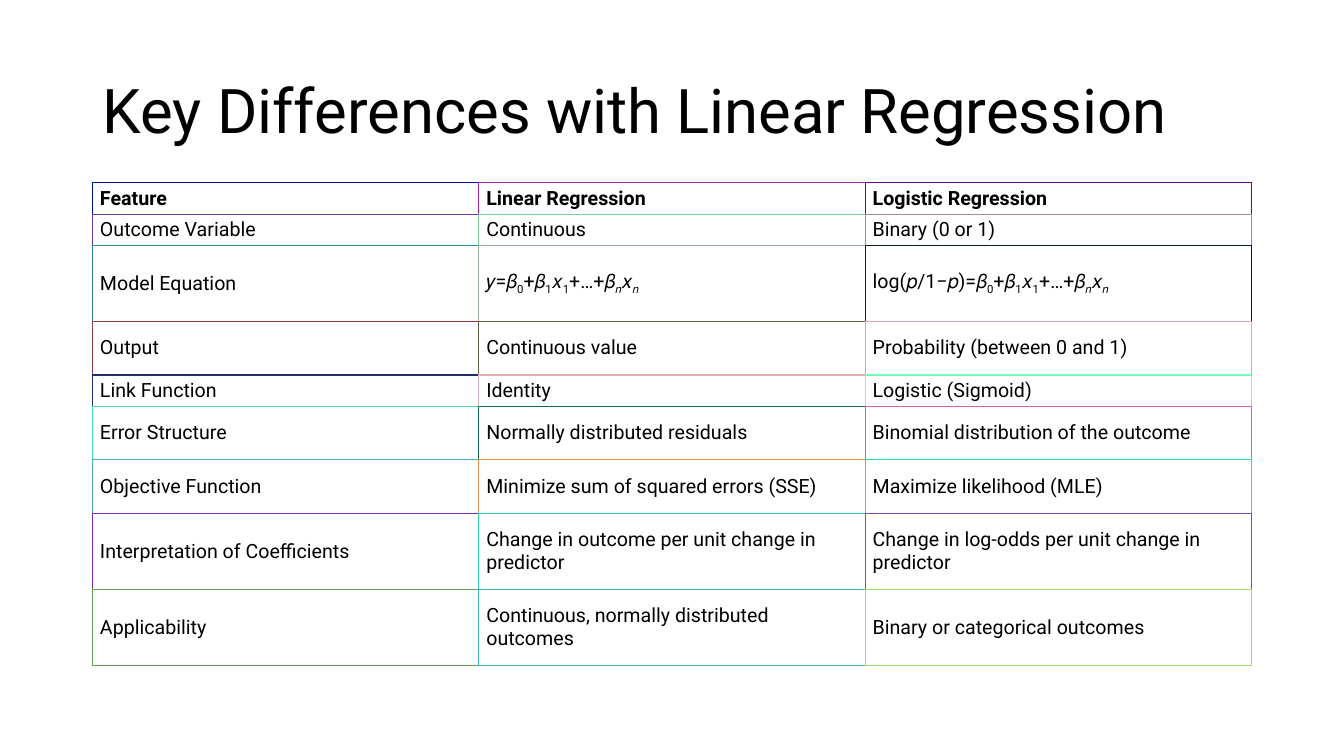
from dataclasses import dataclass

from lxml import etree
from pptx import Presentation
from pptx.dml.color import RGBColor
from pptx.enum.text import MSO_ANCHOR, MSO_AUTO_SIZE, PP_ALIGN
from pptx.oxml.ns import qn
from pptx.util import Cm, Pt

LEFT = PP_ALIGN.LEFT
MIDDLE = MSO_ANCHOR.MIDDLE
BOTTOM = MSO_ANCHOR.BOTTOM
NO_FIT = MSO_AUTO_SIZE.NONE

BLACK = RGBColor(0x00, 0x00, 0x00)
WHITE = RGBColor(0xFF, 0xFF, 0xFF)
FONT = "Roboto"
EDGE = 2.33
WIDTH = 29.21
SHORT, MEDIUM, TALL = 0.77, 1.35, 1.92


@dataclass
class Row:
    height: float
    texts: tuple[str, str, str]
    lines: tuple[str, str, str]  # border colour of each cell


# An underscore sets the next character as a subscript
ROWS = [
    Row(SHORT, ("Feature", "Linear Regression", "Logistic Regression"),
        ("00159F", "A0239F", "60069F")),
    Row(SHORT, ("Outcome Variable", "Continuous", "Binary (0 or 1)"),
        ("603C9F", "80CA9F", "A08B9D")),
    Row(TALL, ("Model Equation", "𝑦=𝛽_0+𝛽_1𝑥_1+…+𝛽_𝑛𝑥_𝑛",
               "log(𝑝/1−𝑝)=𝛽_0+𝛽_1𝑥_1+…+𝛽_𝑛𝑥_𝑛"),
        ("308C9C", "90B69C", "001B45")),
    Row(MEDIUM, ("Output", "Continuous value", "Probability (between 0 and 1)"),
        ("903944", "605B44", "E09FBA")),
    Row(SHORT, ("Link Function", "Identity", "Logistic (Sigmoid)"),
        ("202B6C", "E0B1B8", "70FEB8")),
    Row(MEDIUM, ("Error Structure", "Normally distributed residuals",
                 "Binomial distribution of the outcome"),
        ("40E0BC", "106946", "D05DBE")),
    Row(MEDIUM, ("Objective Function", "Minimize sum of squared errors (SSE)",
                 "Maximize likelihood (MLE)"),
        ("50AEB0", "E09346", "10E6B6")),
    Row(TALL, ("Interpretation of Coefficients",
               "Change in outcome per unit change in predictor",
               "Change in log-odds per unit change in predictor"),
        ("8028B7", "30C9B2", "804AAD")),
    Row(TALL, ("Applicability", "Continuous, normally distributed outcomes",
               "Binary or categorical outcomes"),
        ("60A450", "40AFAF", "A0DD6D")),
]


def style(para, size: float, bold: bool = False) -> None:
    font = para.font
    font.name, font.size, font.bold = FONT, Pt(size), bold
    font.color.rgb = BLACK


def add_run(para, text: str, sub: bool = False) -> None:
    if text:
        run = para.add_run()
        run.text = text
        if sub:
            run._r.get_or_add_rPr().set("baseline", "-25000")


def write(para, text: str) -> None:
    first, *parts = text.split("_")
    add_run(para, first)
    for part in parts:
        add_run(para, part[0], sub=True)
        add_run(para, part[1:])


def border(cell, side: str, color: str, width: float) -> None:
    props = cell._tc.get_or_add_tcPr()
    line = etree.SubElement(props, qn(f"a:ln{side}"), w=str(Pt(width)))
    fill = etree.SubElement(line, qn("a:solidFill"))
    etree.SubElement(fill, qn("a:srgbClr"), val=color)


def frame(cell, row: int, col: int) -> None:
    # Left and top lines are the cell's own; right and bottom are the next cell's
    end = len(ROWS) - 1
    own = ROWS[row].lines
    border(cell, "L", own[col], 0.75)
    border(cell, "R", own[min(col + 1, len(own) - 1)], 0.75)
    border(cell, "T", own[col], 1 if row else 0.75)
    border(cell, "B", ROWS[min(row + 1, end)].lines[col], 1 if row < end else 0.75)


def add_title(slide) -> None:
    title = slide.shapes.title
    title.left, title.top = Cm(EDGE), Cm(1.02)
    title.width, title.height = Cm(WIDTH), Cm(3.68)
    box = title.text_frame
    box.auto_size, box.vertical_anchor = NO_FIT, MIDDLE
    box.text = "Key Differences with Linear Regression"
    para = box.paragraphs[0]
    para.alignment, para.line_spacing = LEFT, 0.9
    style(para, 44)


def add_grid(slide) -> None:
    cols = len(ROWS[0].texts)
    total = sum(row.height for row in ROWS)
    table = slide.shapes.add_table(len(ROWS), cols, Cm(EDGE), Cm(4.61),
                                   Cm(WIDTH), Cm(total)).table
    table.first_row = table.horz_banding = False
    for r, row in enumerate(ROWS):
        table.rows[r].height = Cm(row.height)
        for c, text in enumerate(row.texts):
            cell = table.cell(r, c)
            frame(cell, r, c)
            cell.fill.solid()
            cell.fill.fore_color.rgb = WHITE
            cell.margin_left = cell.margin_right = Cm(0.19)
            cell.margin_top = cell.margin_bottom = Cm(0.1)
            cell.vertical_anchor = MIDDLE if r else BOTTOM
            para = cell.text_frame.paragraphs[0]
            write(para, text)
            style(para, 14, bold=r == 0)


def main() -> None:
    deck = Presentation()
    deck.slide_width, deck.slide_height = Cm(33.87), Cm(19.05)
    slide = deck.slides.add_slide(deck.slide_layouts[5])
    add_title(slide)
    add_grid(slide)
    deck.save("out.pptx")


if __name__ == "__main__":
    main()
